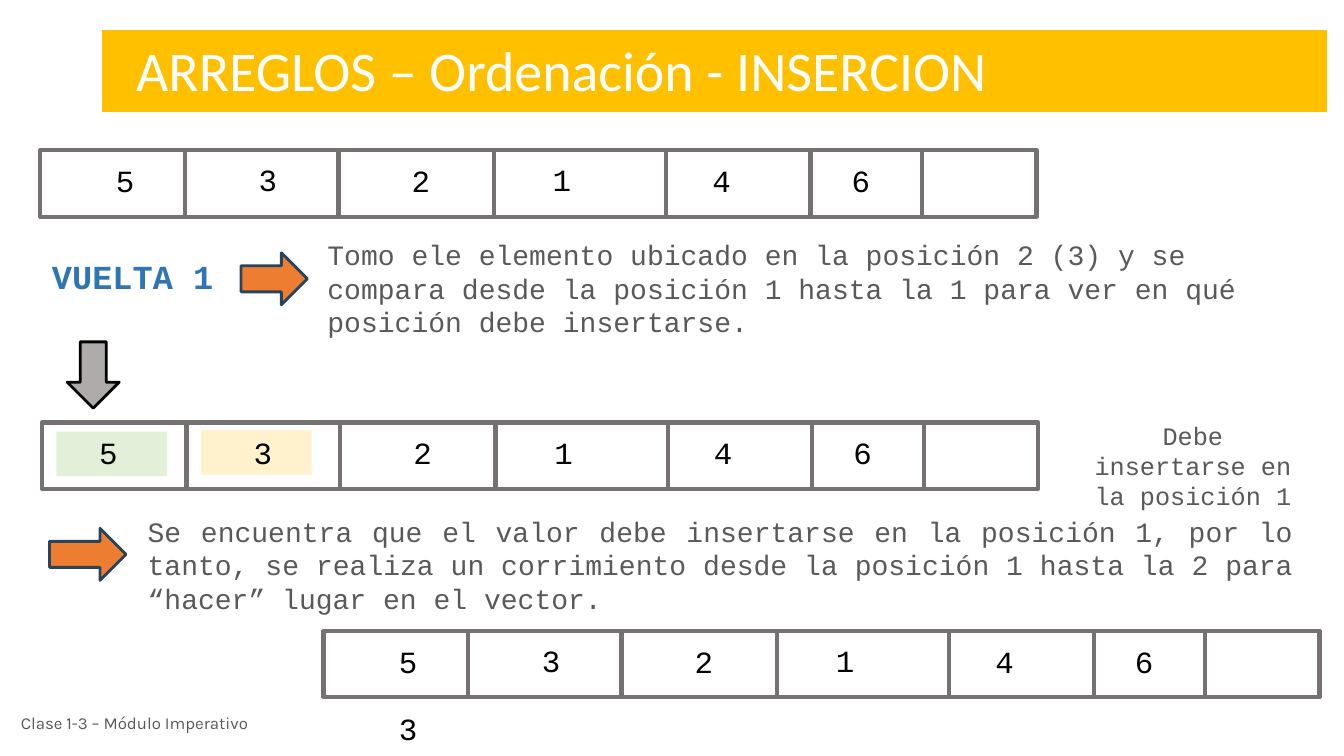
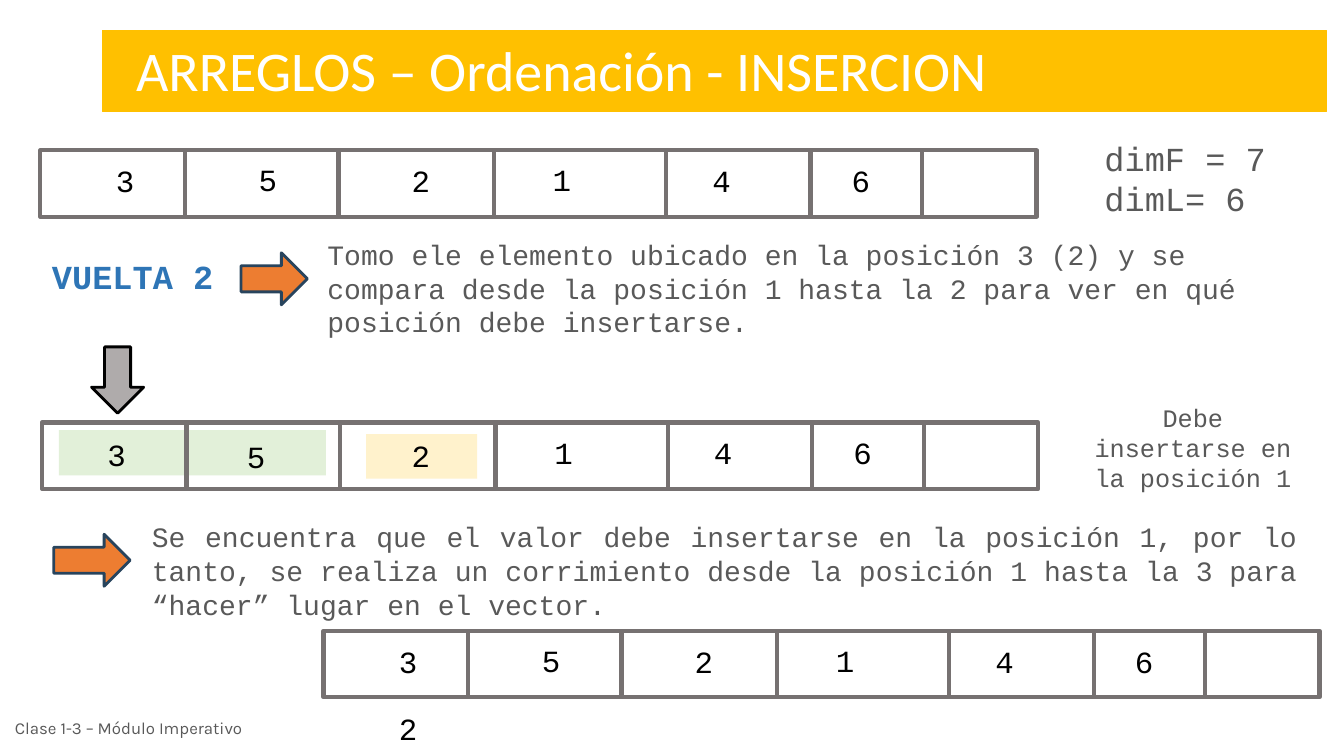
"""Two slides that trace insertion sort on an array, on a grid of 160 by 90 cells."""
from lxml import etree
from pptx import Presentation
from pptx import util as u
from pptx.dml.color import RGBColor
from pptx.enum import shapes, text
from pptx.oxml.ns import qn

COLUMNS, ROWS = 160, 90
GOLD, GRAY, INK = "FFC000", "767171", "595959"
GREEN, CREAM, ORANGE, NAVY = "E2F0D9", "FFF2CC", "ED7D31", "28445D"
MONO = "Courier New"
LEFT, CENTER, JUSTIFY = text.PP_ALIGN.LEFT, text.PP_ALIGN.CENTER, text.PP_ALIGN.JUSTIFY
KIND = shapes.MSO_SHAPE

ARRAY_WIDTH, ARRAY_HEIGHT = 118.6, 7.9
DIVIDERS = [17.2, 35.5, 54, 74.5, 91.7, 105]
CENTERS = [10.1, 27.1, 45.3, 62.1, 81.1, 97.7]
DROPS = [0.8, 0.7, 0.8, 0.7, 0.8, 0.8]
VALUE_WIDTH, VALUE_HEIGHT = 13.8, 5.6

ROUNDS = [
    dict(
        number=1, values="532146", taken="3", position=2, last=1,
        centers=[7.9, 26.3], drops=[0.7, 0.7],
        marks=[(6.7, 51.4, 13.2, 5.3, GREEN), (23.9, 51.2, 13.2, 5.3, CREAM)],
        pointer=(8, 40.7), verdict_top=49.4, shift=(5.9, 62.9),
        footer=(1.3, 83.2), sizes=[],
    ),
    dict(
        number=2, values="352146", taken="2", position=3, last=2,
        centers=[8.9, 25.5, 45.1], drops=[1, 1.2, 1.1],
        marks=[(7, 51.2, 31.8, 5.4, GREEN), (43.6, 51.7, 13.2, 5.3, CREAM)],
        pointer=(10.9, 41.3), verdict_top=47.3, shift=(6.4, 63.6),
        footer=(0.6, 83.8), sizes=["dimF = 7", "dimL= 6"],
    ),
]

deck = Presentation()
deck.slide_width, deck.slide_height = u.Inches(13.33), u.Inches(7.5)
cell_width, cell_height = deck.slide_width / COLUMNS, deck.slide_height / ROWS


def draw(page, kind, left, top, width, height, fill=None, line=None, weight=3):
    """Add a preset shape at grid cells."""
    shape = page.shapes.add_shape(
        kind, int(left * cell_width), int(top * cell_height),
        int(width * cell_width), int(height * cell_height))
    shape.shadow.inherit = False
    if fill:
        shape.fill.solid()
        shape.fill.fore_color.rgb = RGBColor.from_string(fill)
    else:
        shape.fill.background()
    if line:
        shape.line.color.rgb = RGBColor.from_string(line)
        shape.line.width = u.Pt(weight)
    else:
        shape.line.fill.background()


def write(page, lines, left, top, width, height, size,
          color=INK, align=LEFT, font=MONO, bold=False, anchor=text.MSO_ANCHOR.TOP):
    """Add a wrapped text box at grid cells."""
    box = page.shapes.add_textbox(
        int(left * cell_width), int(top * cell_height),
        int(width * cell_width), int(height * cell_height))
    frame = box.text_frame
    frame.word_wrap = True
    frame.vertical_anchor = anchor
    frame.text = "\n".join(lines)
    for para in frame.paragraphs:
        para.alignment = align
        para.font.name, para.font.size, para.font.bold = font, u.Pt(size), bold
        para.font.color.rgb = RGBColor.from_string(color)


for step in ROUNDS:
    page = deck.slides.add_slide(deck.slide_layouts[5])

    title = page.shapes.title
    title.left, title.top = int(12.2 * cell_width), int(3.6 * cell_height)
    title.width, title.height = int(145.7 * cell_width), int(9.7 * cell_height)
    title.fill.solid()
    title.fill.fore_color.rgb = RGBColor.from_string(GOLD)
    title.line.color.rgb = RGBColor.from_string(GOLD)
    title.line.width = u.Pt(1)
    frame = title.text_frame
    frame.text = "ARREGLOS – Ordenación - INSERCION"
    frame.auto_size = text.MSO_AUTO_SIZE.NONE
    frame.vertical_anchor = text.MSO_ANCHOR.TOP
    frame.margin_left = int(4 * cell_width)
    heading = frame.paragraphs[0]
    heading.alignment = LEFT
    heading.font.name, heading.font.size = "Calibri", u.Pt(40)
    heading.font.color.rgb = RGBColor.from_string("FFFFFF")

    for *place, fill in step["marks"]:
        draw(page, KIND.RECTANGLE, *place, fill=fill)

    compared_centers = step["centers"] + CENTERS[len(step["centers"]):]
    compared_drops = step["drops"] + DROPS[len(step["drops"]):]
    for left, top, centers, drops in [
        (4.8, 17.9, CENTERS, DROPS),
        (5, 50.3, compared_centers, compared_drops),
        (38.5, 75.1, CENTERS, DROPS),
    ]:
        draw(page, KIND.RECTANGLE, left, top, ARRAY_WIDTH, ARRAY_HEIGHT, line=GRAY)
        for divider in DIVIDERS:
            x = int((left + divider) * cell_width)
            rule = page.shapes.add_connector(
                shapes.MSO_CONNECTOR.STRAIGHT, x, int(top * cell_height),
                x, int((top + ARRAY_HEIGHT) * cell_height))
            rule.line.color.rgb = RGBColor.from_string(GRAY)
            rule.line.width = u.Pt(3)
            etree.SubElement(rule._element.spPr, qn("a:effectLst"))
        for value, center, drop in zip(step["values"], centers, drops):
            write(page, [value], left + center - VALUE_WIDTH / 2, top + drop,
                  VALUE_WIDTH, VALUE_HEIGHT, 22, "000000", CENTER)
    write(page, [step["taken"]], 38.5 + CENTERS[0] - VALUE_WIDTH / 2, 83.9,
          VALUE_WIDTH, VALUE_HEIGHT, 22, "000000", CENTER)

    if step["sizes"]:
        write(page, step["sizes"], 130.3, 15.8, 27.6, 10.9, 24)

    write(page, [f"VUELTA {step['number']}"], 5, 29.9, 27.6, 6, 24, "2E75B6", bold=True)
    draw(page, KIND.RIGHT_ARROW, 28.7, 30.1, 7.9, 6.2, ORANGE, NAVY, 2)
    write(page, [f"Tomo ele elemento ubicado en la posición {step['position']} ({step['taken']}) "
                 f"y se compara desde la posición 1 hasta la {step['last']} "
                 "para ver en qué posición debe insertarse."],
          37.8, 27.7, 120.2, 13.3, 20)

    draw(page, KIND.DOWN_ARROW, *step["pointer"], 6.2, 7.9, "AFABAB", "000000", 2)
    write(page, ["Debe insertarse en la posición 1"],
          128.2, step["verdict_top"], 27.6, 12.1, 18, align=CENTER)

    left, top = step["shift"]
    draw(page, KIND.RIGHT_ARROW, left, top, 9.1, 6.2, ORANGE, NAVY, 2)
    write(page, ["Se encuentra que el valor debe insertarse en la posición 1, por lo tanto, "
                 "se realiza un corrimiento desde la posición 1 "
                 f"hasta la {step['position']} para “hacer” lugar en el vector."],
          left + 10.5, top - 2.3, 138.8, 13.3, 20, align=JUSTIFY)

    write(page, ["Clase 1-3 – Módulo Imperativo"], *step["footer"], 37.9, 5.8, 12,
          font="Karla", anchor=text.MSO_ANCHOR.MIDDLE)

deck.save("out.pptx")
